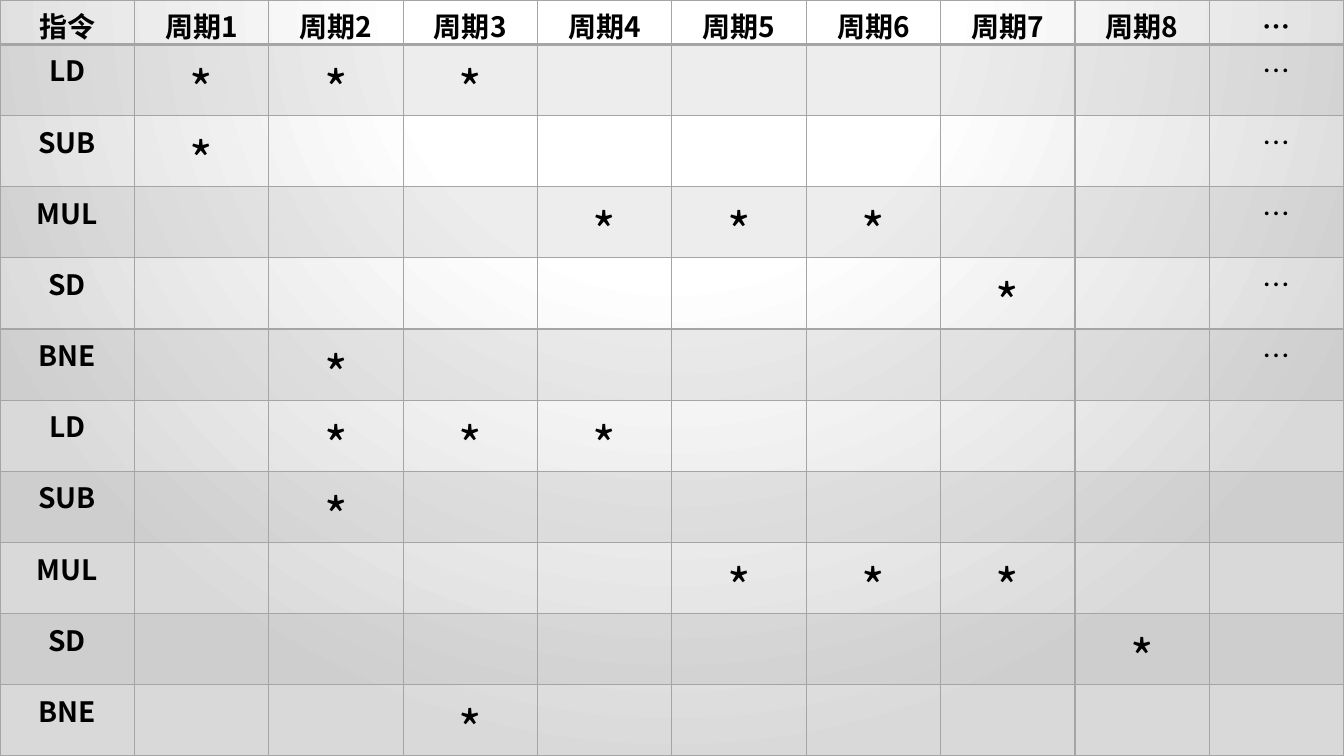
from dataclasses import dataclass

from lxml import etree
from pptx import Presentation
from pptx.dml.color import RGBColor
from pptx.enum.text import MSO_ANCHOR, PP_ALIGN
from pptx.oxml.ns import qn
from pptx.util import Inches, Pt

WIDTH, HEIGHT, HEADER_HEIGHT = 13.33, 7.5, 0.44
CYCLES = 8
# Each instruction with the cycles it occupies.
SCHEDULE = [
    ("LD", (1, 2, 3)), ("SUB", (1,)), ("MUL", (4, 5, 6)), ("SD", (7,)), ("BNE", (2,)),
    ("LD", (2, 3, 4)), ("SUB", (2,)), ("MUL", (5, 6, 7)), ("SD", (8,)), ("BNE", (3,)),
]
ELLIPSIS_ROWS = 5


@dataclass(frozen=True)
class Theme:
    font: str = "Noto Sans CJK SC"
    text: str = "000000"
    grid: str = "A5A5A5"
    band_alpha: int = 20
    background: tuple = ((0, "FFFFFF"), (35, "FFFFFF"), (100, "D9D9D9"))
    label_size: int = 20
    mark_size: int = 36
    # Negative, so the font's tall line box does not stretch the rows.
    bottom_margin: float = -0.08


def add_xml(parent, tag, **attrs):
    return etree.SubElement(parent, qn(tag), {k: str(v) for k, v in attrs.items()})


class SlideBuilder:
    def __init__(self, prs, theme):
        self.theme = theme
        self.s = prs.slides.add_slide(prs.slide_layouts[6])

    def background(self):
        """Radial gradient centred above the slide."""
        fill = self.s.background.fill
        fill.gradient()
        grad = self.s.background._cSld.find(".//" + qn("a:gradFill"))
        for child in list(grad):
            grad.remove(child)
        stops = add_xml(grad, "a:gsLst")
        for pos, color in self.theme.background:
            stop = add_xml(stops, "a:gs", pos=pos * 1000)
            add_xml(stop, "a:srgbClr", val=color)
        circle = add_xml(grad, "a:path", path="circle")
        add_xml(circle, "a:fillToRect", l=50000, t=-80000, r=50000, b=180000)

    def table(self, rows, cols):
        frame = self.s.shapes.add_table(rows, cols, 0, 0, Inches(WIDTH), Inches(HEIGHT))
        table = frame.table
        table.horz_banding = False
        for col in table.columns:
            col.width = Inches(WIDTH / cols)
        for i, row in enumerate(table.rows):
            body_height = (HEIGHT - HEADER_HEIGHT) / (rows - 1)
            row.height = Inches(body_height if i else HEADER_HEIGHT)
        return table

    def cell(self, cell, text, row):
        is_mark = text == "*"
        cell.vertical_anchor = MSO_ANCHOR.MIDDLE if is_mark else MSO_ANCHOR.TOP
        cell.margin_bottom = Inches(self.theme.bottom_margin)
        p = cell.text_frame.paragraphs[0]
        p.alignment = PP_ALIGN.CENTER
        if text:
            r = p.add_run()
            r.text = text
            style = {
                "size": Pt(self.theme.mark_size if is_mark else self.theme.label_size),
                "bold": not is_mark and (row == 0 or text != "…"),
                "name": self.theme.font,
            }
            for name, value in style.items():
                setattr(r.font, name, value)
            r.font.color.rgb = RGBColor.from_string(self.theme.text)
            add_xml(r._r.get_or_add_rPr(), "a:ea", typeface=self.theme.font)
        self.borders(cell, row)
        self.band(cell, row)

    def borders(self, cell, row):
        tc_pr = cell._tc.get_or_add_tcPr()
        for side in "LRTB":
            heavy = (row == 0 and side == "B") or (row == 1 and side == "T")
            line = add_xml(tc_pr, f"a:ln{side}", w=Pt(2 if heavy else 1))
            fill = add_xml(line, "a:solidFill")
            add_xml(fill, "a:srgbClr", val=self.theme.grid)

    def band(self, cell, row):
        """Translucent fill on odd rows, none on the others."""
        if row % 2 == 0:
            cell.fill.background()
            return
        cell.fill.solid()
        cell.fill.fore_color.rgb = RGBColor.from_string(self.theme.grid)
        color = cell._tc.tcPr.find(qn("a:solidFill")).find(qn("a:srgbClr"))
        add_xml(color, "a:alpha", val=self.theme.band_alpha * 1000)


def schedule_rows():
    yield ["指令", *(f"周期{n}" for n in range(1, CYCLES + 1)), "…"]
    for i, (name, busy) in enumerate(SCHEDULE):
        marks = ["*" if n in busy else "" for n in range(1, CYCLES + 1)]
        yield [name, *marks, "…" if i < ELLIPSIS_ROWS else ""]


def main():
    prs = Presentation()
    prs.slide_width, prs.slide_height = Inches(WIDTH), Inches(HEIGHT)
    slide = SlideBuilder(prs, Theme())
    slide.background()
    rows = list(schedule_rows())
    table = slide.table(len(rows), len(rows[0]))
    for i, texts in enumerate(rows):
        for j, text in enumerate(texts):
            slide.cell(table.cell(i, j), text, i)
    prs.save("out.pptx")


if __name__ == "__main__":
    main()
